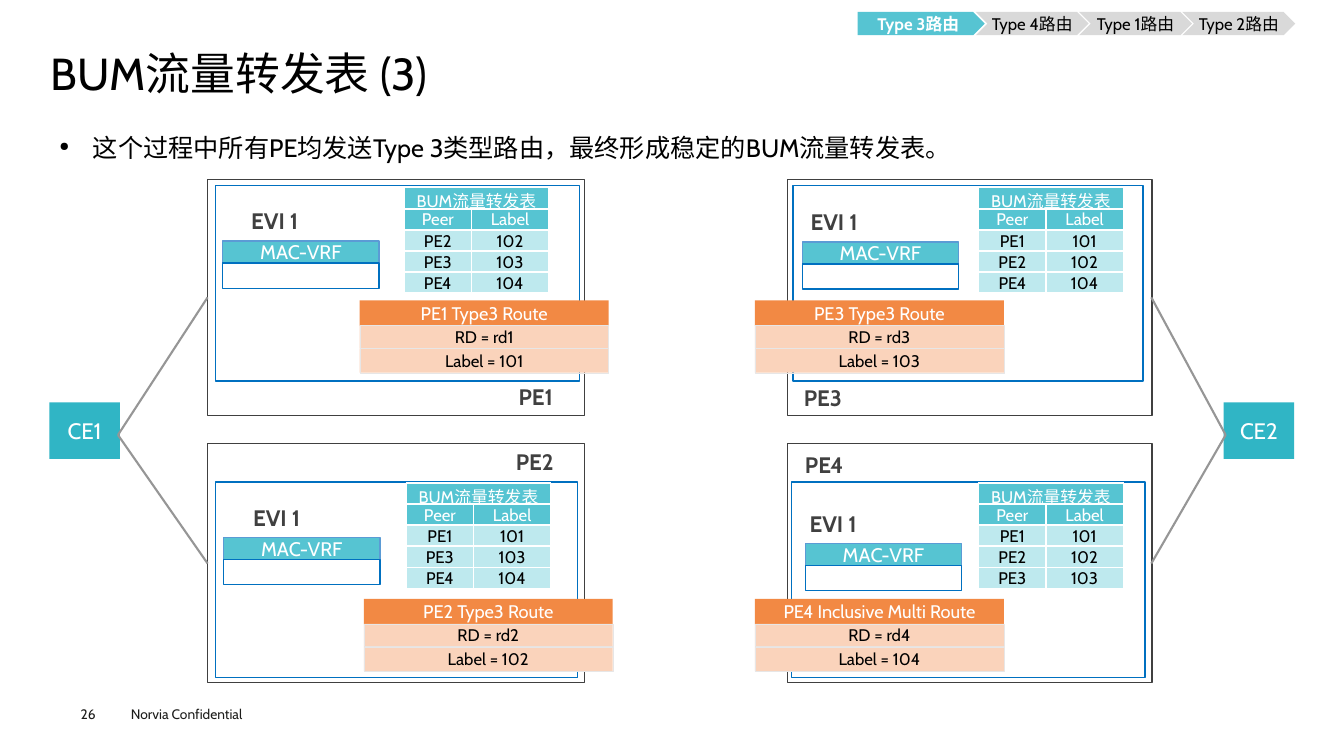
"""Build the BUM forwarding table slide with four PE routers and two CE devices."""
from lxml import etree
from pptx import Presentation
from pptx.dml.color import RGBColor
from pptx.enum.shapes import MSO_CONNECTOR, MSO_SHAPE
from pptx.enum.text import MSO_ANCHOR, PP_ALIGN
from pptx.oxml.ns import qn
from pptx.util import Pt

RECT, CHEVRON, PENTAGON = MSO_SHAPE.RECTANGLE, MSO_SHAPE.CHEVRON, MSO_SHAPE.PENTAGON
STRAIGHT = MSO_CONNECTOR.STRAIGHT
TOP, MIDDLE = MSO_ANCHOR.TOP, MSO_ANCHOR.MIDDLE
LEFT, CENTER, JUSTIFY = PP_ALIGN.LEFT, PP_ALIGN.CENTER, PP_ALIGN.JUSTIFY

FONT = "Cabin"
BLACK = RGBColor(0x00, 0x00, 0x00)
WHITE = RGBColor(0xFF, 0xFF, 0xFF)
INK = RGBColor(0x1D, 0x1D, 0x1B)
DARK = RGBColor(0x40, 0x40, 0x40)
GREY = RGBColor(0x96, 0x96, 0x96)
LIGHT_GREY = RGBColor(0xD9, 0xD9, 0xD9)
RULE = RGBColor(0xE7, 0xE6, 0xE6)
TEAL = RGBColor(0x56, 0xC4, 0xD2)
PALE_TEAL = RGBColor(0xBE, 0xE9, 0xEE)
DEEP_TEAL = RGBColor(0x30, 0xB5, 0xC5)
BLUE = RGBColor(0x00, 0x70, 0xC0)
SKY = RGBColor(0x5B, 0x9B, 0xD5)
ORANGE = RGBColor(0xF2, 0x89, 0x44)
PEACH = RGBColor(0xFA, 0xD3, 0xBB)

TITLE = "BUM流量转发表 (3)"
BODY = "这个过程中所有PE均发送Type 3类型路由，最终形成稳定的BUM流量转发表。"
TABLE_TITLE = "BUM流量转发表"
FOOTER, PAGE = "Norvia Confidential", "26"
STEPS = ["Type 4路由", "Type 1路由", "Type 2路由"]
CURRENT_STEP = "Type 3路由"

ROUTERS = [
    dict(n=1, outer=(148.3, 128.2, 269.3, 168.5), inner=(154.1, 132.5, 259.9, 139.7),
         name=(361.4, 270), evi=(169.2, 144.7), vrf=(159.1, 172.1),
         table=(288.7, 133.9), route=(257, 214.6), kind="Type3"),
    dict(n=2, outer=(148.3, 316.8, 269.3, 170.6), inner=(154.1, 344.2, 258.5, 139.7),
         name=(360.7, 316.8), evi=(170.6, 356.4), vrf=(159.8, 383.8),
         table=(290.2, 344.9), route=(259.9, 427.7), kind="Type3"),
    dict(n=3, outer=(562.3, 128.2, 260.6, 168.5), inner=(566.6, 132.5, 249.8, 139.7),
         name=(566.6, 270.7), evi=(568.8, 145.4), vrf=(573.1, 172.8),
         table=(699.1, 133.9), route=(539.3, 214.6), kind="Type3"),
    dict(n=4, outer=(562.3, 316.8, 260.6, 170.6), inner=(565.2, 344.2, 252.7, 139.7),
         name=(567.4, 319), evi=(568.1, 360.7), vrf=(575.3, 388.1),
         table=(699.1, 344.9), route=(539.3, 427.7), kind="Inclusive Multi"),
]
EDGES = [("CE1", 35.3, 84.3, 148.3), ("CE2", 874.1, 875.5, 822.4)]
EDGE_Y, LINK_Y, LINK_ENDS = 287.5, 310.7, (212.4, 402.5)
TABLE_COLS, TABLE_ROW = (48, 55.2), 15.1


def style(p, size, color, bold=False, align=CENTER):
    p.alignment = align
    for r in p.runs:
        r.font.name, r.font.size, r.font.bold = FONT, Pt(size), bold
        r.font.color.rgb = color


def set_margins(tf, left, top, right, bottom):
    tf.margin_left, tf.margin_top = Pt(left), Pt(top)
    tf.margin_right, tf.margin_bottom = Pt(right), Pt(bottom)


def add_box(s, box, text="", fill=None, line=None, size=12, color=BLACK,
            bold=False, width=1, preset=RECT, flush=False):
    sp = s.shapes.add_shape(preset, *map(Pt, box))
    sp.shadow.inherit = False
    if fill is None:
        sp.fill.background()
    else:
        sp.fill.solid()
        sp.fill.fore_color.rgb = fill
    if line is None:
        sp.line.fill.background()
    else:
        sp.line.color.rgb = line
        sp.line.width = Pt(width)
    if text:
        tf = sp.text_frame
        tf.text = text
        tf.vertical_anchor = MIDDLE
        if flush:
            set_margins(tf, 0, 0, 0, 0)
        style(tf.paragraphs[0], size, color, bold)


def add_label(s, box, text, size, color, bold=False, align=LEFT,
              margins=(7.2, 3.6, 7.2, 3.6), wrap=True, anchor=TOP):
    tf = s.shapes.add_textbox(*map(Pt, box)).text_frame
    tf.word_wrap, tf.vertical_anchor = wrap, anchor
    set_margins(tf, *margins)
    tf.text = text
    style(tf.paragraphs[0], size, color, bold, align)
    return tf.paragraphs[0]


def add_borders(cell):
    tcPr = cell._tc.get_or_add_tcPr()
    sides = (("a:lnL", 1), ("a:lnR", 1), ("a:lnT", 1.5), ("a:lnB", 1.5))
    for i, (tag, width) in enumerate(sides):
        ln = etree.Element(qn(tag), w=str(Pt(width)))
        fill = etree.SubElement(ln, qn("a:solidFill"))
        etree.SubElement(fill, qn("a:srgbClr"), val=str(WHITE))
        tcPr.insert(i, ln)


def add_peer_table(s, at, own):
    peers = [(f"PE{n}", str(100 + n)) for n in range(1, 5) if n != own]
    rows = [(TABLE_TITLE, ""), ("Peer", "Label"), *peers]
    size = (sum(TABLE_COLS), TABLE_ROW * len(rows))
    tb = s.shapes.add_table(len(rows), 2, *map(Pt, at + size)).table
    tb.first_row = tb.horz_banding = False
    for col, width in zip(tb.columns, TABLE_COLS):
        col.width = Pt(width)
    for i, row in enumerate(rows):
        tb.rows[i].height = Pt(TABLE_ROW)
        for j, text in enumerate(row):
            cell = tb.cell(i, j)
            cell.text = text
            cell.vertical_anchor = MIDDLE
            set_margins(cell, 0.7, 0.7, 0.7, 0)
            cell.fill.solid()
            cell.fill.fore_color.rgb = TEAL if i < 2 else PALE_TEAL
            style(cell.text_frame.paragraphs[0], 12, WHITE if i < 2 else BLACK)
            add_borders(cell)
    tb.cell(0, 0).merge(tb.cell(0, 1))


def add_router(s, n, outer, inner, name, evi, vrf, table, route, kind):
    add_box(s, outer, line=DARK)
    add_box(s, inner, line=BLUE)
    for at, width, text in ((name, 42.5, f"PE{n}"), (evi, 54, "EVI 1")):
        add_label(s, at + (width, 26.6), text, 16, DARK, True, CENTER, wrap=False)
    x, y = vrf
    add_box(s, (x, y, 111.6, 15.8), "MAC-VRF", TEAL, SKY, 14, WHITE)
    add_box(s, (x, y + 15.8, 111.6, 18), line=BLUE)
    add_peer_table(s, table, n)
    x, y = route
    add_box(s, (x, y, 177.8, 18), f"PE{n} {kind} Route", ORANGE, size=13, color=WHITE)
    for dy, height, text in ((18, 16.2, f"RD = rd{n}"), (34.4, 17.3, f"Label = {100 + n}")):
        add_box(s, (x, y + dy, 177.8, height), text, PEACH, RULE, width=0.25)


def add_link(s, x1, y1, x2, y2):
    cn = s.shapes.add_connector(STRAIGHT, *map(Pt, (x1, y1, x2, y2)))
    cn.line.color.rgb, cn.line.width = GREY, Pt(1.5)
    etree.SubElement(cn._element.spPr, qn("a:effectLst"))


def main():
    prs = Presentation()
    prs.slide_width, prs.slide_height = Pt(960), Pt(540)
    s = prs.slides.add_slide(prs.slide_layouts[6])

    add_label(s, (86.4, 500.4, 115.2, 19.4), FOOTER, 9.8, INK)
    add_label(s, (57.6, 504, 39.6, 11.5), PAGE, 9.8, INK, margins=(0, 0, 0, 0))
    p = add_label(s, (36, 35.3, 889.2, 38.2), TITLE, 32, BLACK,
                  margins=(0, 0, 0, 0), anchor=MIDDLE)
    p.line_spacing = 0.9
    p = add_label(s, (36, 82.8, 889.2, 384.5), BODY, 18, BLACK, align=JUSTIFY,
                  margins=(6.5, 2.9, 6.5, 2.9))
    pPr = p._p.get_or_add_pPr()
    pPr.set("marL", str(Pt(23.8)))
    pPr.set("indent", str(-Pt(23.8)))
    etree.SubElement(pPr, qn("a:buSzPct"), val="50000")
    etree.SubElement(pPr, qn("a:buChar"), char="●")
    p.line_spacing = 1.4

    for router in ROUTERS:
        add_router(s, **router)

    for i, step in enumerate(STEPS):
        add_box(s, (697 + 73.8 * i, 8.6, 80.6, 16.6), step, LIGHT_GREY,
                preset=CHEVRON, flush=True)
    add_box(s, (612.7, 8.6, 90.7, 16.6), CURRENT_STEP, TEAL, color=WHITE,
            bold=True, preset=PENTAGON, flush=True)

    for name, x, link_x, router_x in EDGES:
        add_box(s, (x, EDGE_Y, 50.4, 40.3), name, DEEP_TEAL, size=16, color=WHITE)
        for y in LINK_ENDS:
            add_link(s, router_x, y, link_x, LINK_Y)

    prs.save("out.pptx")


if __name__ == "__main__":
    main()
